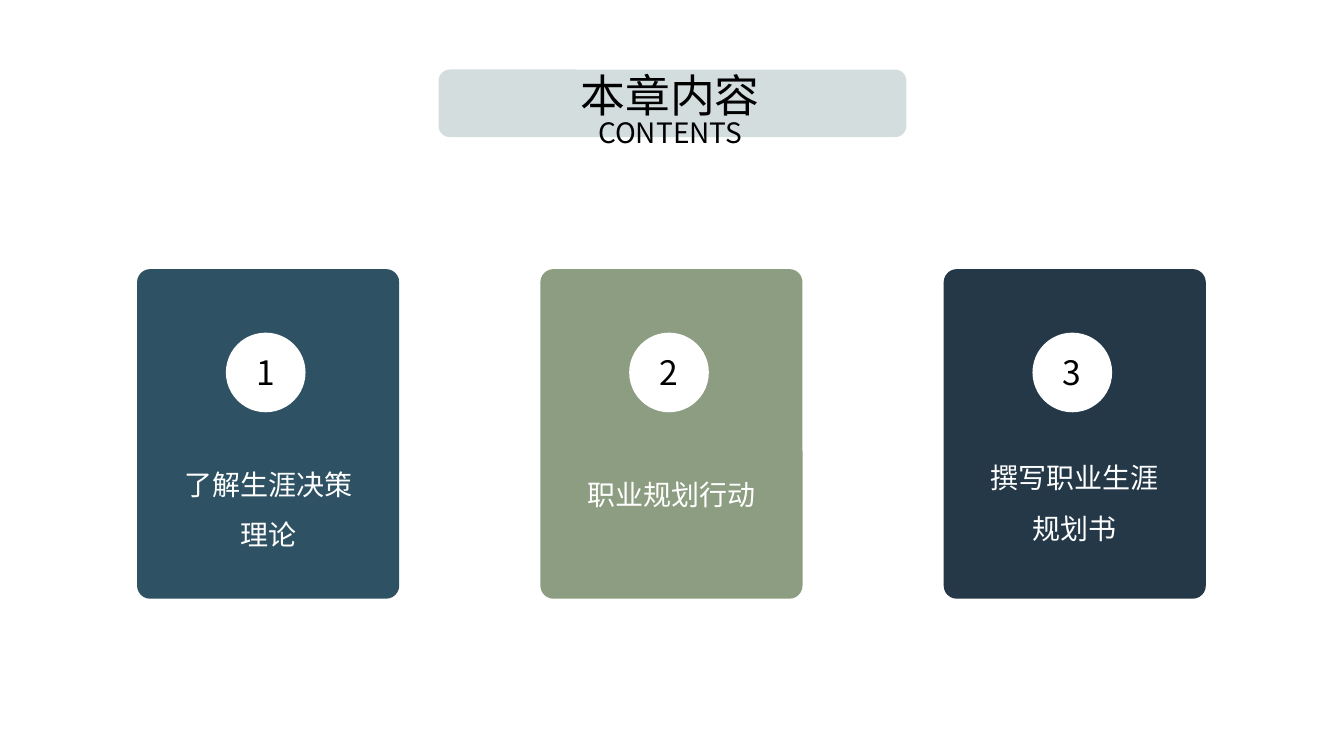
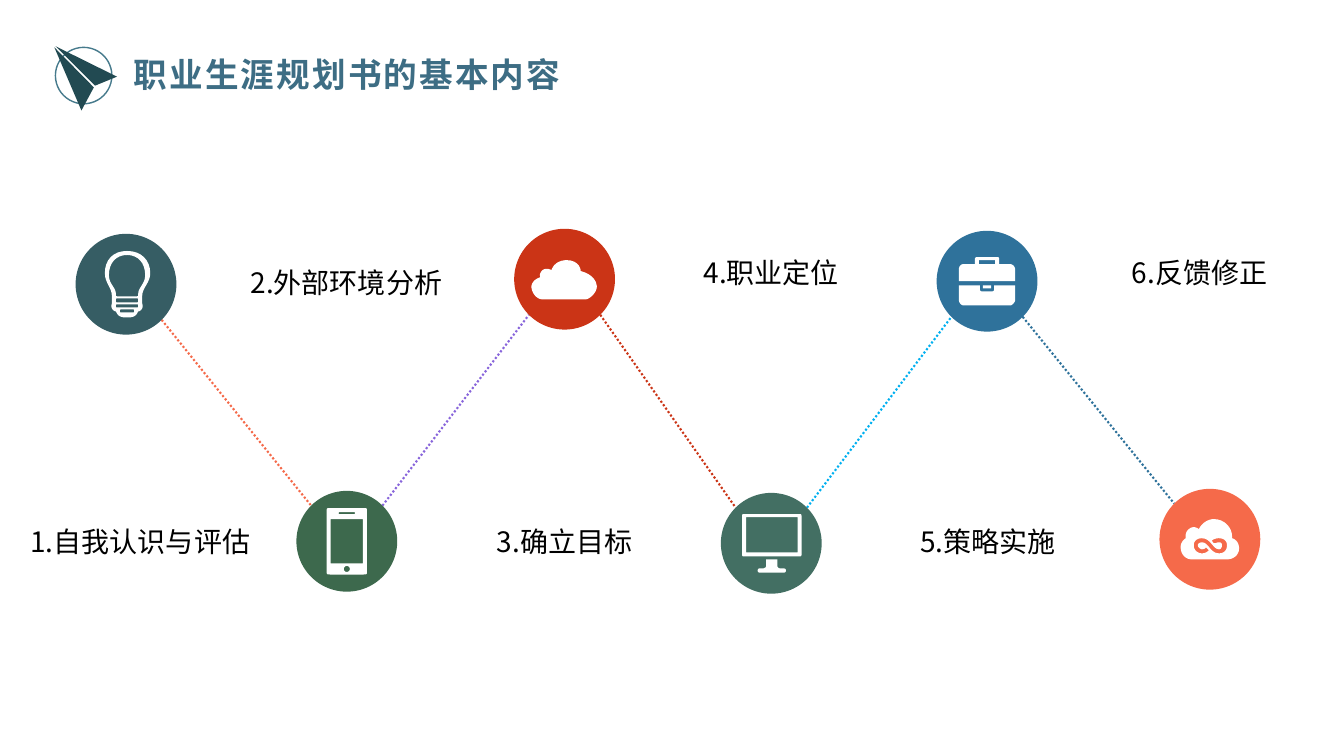
from collections import namedtuple
from math import cos, pi, sin, sqrt

from lxml.etree import SubElement
from pptx import Presentation
from pptx.dml.color import RGBColor
from pptx.enum.dml import MSO_LINE
from pptx.enum.shapes import MSO_CONNECTOR, MSO_SHAPE
from pptx.enum.text import MSO_ANCHOR, PP_ALIGN
from pptx.oxml.ns import qn
from pptx.util import Inches, Pt

FONT = "Noto Sans CJK SC"
WHITE = RGBColor(0xFF, 0xFF, 0xFF)
BLACK = RGBColor(0x00, 0x00, 0x00)
MIST = RGBColor(0xD4, 0xDD, 0xDE)
TEAL = RGBColor(0x2E, 0x52, 0x63)
SAGE = RGBColor(0x8C, 0x9D, 0x81)
NAVY = RGBColor(0x24, 0x38, 0x48)
TITLE_BLUE = RGBColor(0x3D, 0x6D, 0x84)
RING_BLUE = RGBColor(0x46, 0x7A, 0x8C)
PLANE_TEAL = RGBColor(0x22, 0x4A, 0x52)
PETROL = RGBColor(0x36, 0x5D, 0x64)
FOREST = RGBColor(0x3D, 0x69, 0x4D)
RED = RGBColor(0xCB, 0x34, 0x16)
PINE = RGBColor(0x43, 0x6F, 0x63)
BLUE = RGBColor(0x2F, 0x72, 0x9B)
CORAL = RGBColor(0xF5, 0x6A, 0x4A)
VIOLET = RGBColor(0x88, 0x65, 0xDB)
SKY = RGBColor(0x00, 0xB0, 0xF0)

Span = namedtuple("Span", "text size color bold spacing", defaults=(BLACK, False, 0))


class Box(namedtuple("Box", "left top width height")):
    def share(self, x, y, width, height):
        return Box(self.left + x * self.width, self.top + y * self.height,
                   width * self.width, height * self.height)

    def emu(self):
        return [Inches(value) for value in self]


def write(frame, paras, align=PP_ALIGN.CENTER, line_spacing=None):
    for index, spans in enumerate(paras):
        para = frame.paragraphs[0] if index == 0 else frame.add_paragraph()
        para.alignment = align
        if line_spacing:
            para.line_spacing = line_spacing
        for position, item in enumerate(spans):
            if position:
                para.add_line_break()
            span = para.add_run()
            span.text = item.text
            span.font.size = Pt(item.size)
            span.font.name = FONT
            span.font.bold = item.bold
            span.font.color.rgb = item.color
            props = span.font._element
            SubElement(props, qn("a:ea")).set("typeface", FONT)
            if item.spacing:
                props.set("spc", str(item.spacing))


def add_text(page, box, paras, align=PP_ALIGN.CENTER, line_spacing=None,
             inset=True, wrap=True):
    frame = page.shapes.add_textbox(*box.emu()).text_frame
    frame.word_wrap = wrap
    if not inset:
        frame.margin_left = frame.margin_right = 0
        frame.margin_top = frame.margin_bottom = 0
    write(frame, paras, align, line_spacing)


def paint(shape, fill=None, line=None):
    shape.shadow.inherit = False
    if fill is None:
        shape.fill.background()
    else:
        shape.fill.solid()
        shape.fill.fore_color.rgb = fill
    if line is None:
        shape.line.fill.background()
    else:
        shape.line.color.rgb = line
        shape.line.width = Pt(1)
    return shape


def add_shape(page, kind, box, fill=None, line=None):
    return paint(page.shapes.add_shape(kind, *box.emu()), fill, line)


def trace(steps, samples=8):
    points = [steps[0]]
    for step in steps[1:]:
        if len(step) == 2:
            points.append(step)
            continue
        start = points[-1]
        first, second, end = step[:2], step[2:4], step[4:]
        for count in range(1, samples + 1):
            t = count / samples
            u = 1 - t
            points.append(tuple(
                u ** 3 * a + 3 * u * u * t * b + 3 * u * t * t * c + t ** 3 * d
                for a, b, c, d in zip(start, first, second, end)))
    return points


def block(left, top, right, bottom, r=0):
    if not r:
        return [(left, top), (right, top), (right, bottom), (left, bottom)]
    return [(left + r, top), (right - r, top), (right, top, right, top, right, top + r),
            (right, bottom - r), (right, bottom, right, bottom, right - r, bottom),
            (left + r, bottom), (left, bottom, left, bottom, left, bottom - r),
            (left, top + r), (left, top, left, top, left + r, top)]


def dot(x, y, radius):
    return [(x + radius * cos(pi * n / 12), y + radius * sin(pi * n / 12)) for n in range(24)]


def add_outline(page, box, contours, fill):
    fine = 100
    left, top, width, height = box.emu()
    builder = None
    for steps in contours:
        points = [(x * fine, y * fine) for x, y in trace(steps)]
        if builder is None:
            builder = page.shapes.build_freeform(
                *points[0], scale=(width / 100 / fine, height / 100 / fine))
        else:
            builder.move_to(*points[0])
        builder.add_line_segments(points[1:], close=True)
    paint(builder.convert_to_shape(left, top), fill)


PLANE = [[(109, 52), (70, 68), (0, -2)], [(68, 71), (46, 112), (-2, 0)]]
BULB = [
    [(51, 17), (65, 17, 74, 26, 74, 39), (74, 49, 66, 53, 66, 62), (66, 69),
     (68, 74, 64, 77, 62, 77), (60, 82, 57, 83, 51, 83), (45, 83, 42, 82, 40, 77),
     (38, 77, 34, 74, 36, 69), (36, 62), (36, 53, 29, 49, 29, 39),
     (29, 26, 37, 17, 51, 17)],
    [(51, 21), (62, 21, 69, 29, 69, 41), (69, 50, 62, 53, 62, 60),
     (62, 62, 62, 62, 60, 62), (42, 62), (40, 62, 40, 62, 40, 60),
     (40, 53, 33, 50, 33, 41), (33, 29, 40, 21, 51, 21)],
    block(40, 64, 62, 68, 2), block(40, 70, 62, 73, 1.5), block(44, 75, 58, 78, 1.5)]
PHONE = [block(30, 17, 70, 83, 4), block(34, 28, 66, 72),
         block(42, 21, 58, 23, 1), dot(50, 77.5, 3)]
CLOUD = [[
    (26, 48), (26, 48, 18, 50, 17, 57), (17, 63, 22, 70, 28, 70), (71, 70),
    (74, 70, 82, 64, 82, 57), (81, 45, 66, 42, 66, 42), (66, 42, 66, 31, 51, 31),
    (39, 32, 37, 41, 37, 41), (37, 41, 32, 38, 28, 41), (24, 45, 26, 48, 26, 48)]]
MONITOR = [
    block(21, 21, 80, 63, 3), block(25, 24, 76, 59),
    [(45, 66), (56, 66), (56, 72), (56, 74, 57, 75, 60, 75), (63, 75),
     (65, 75, 65, 79, 63, 79), (38, 79), (36, 79, 36, 75, 38, 75), (41, 75),
     (43, 75, 45, 74, 45, 72)]]
BRIEFCASE = [
    [(78, 50), (22, 50), (22, 39), (22, 35, 24, 33, 27, 33), (38, 33), (38, 28),
     (38, 26, 40, 26, 41, 26), (59, 26), (61, 26, 62, 26, 62, 28), (62, 33), (73, 33),
     (75, 33, 78, 35, 78, 39)],
    [(78, 68), (78, 71, 75, 74, 73, 74), (27, 74), (24, 74, 22, 71, 22, 68), (22, 54),
     (43, 54), (43, 58), (43, 60, 44, 60, 45, 60), (55, 60), (56, 60, 57, 60, 57, 58),
     (57, 54), (78, 54)],
    block(42, 29, 58, 33), block(46, 54, 54, 57)]
LOOP_CLOUD = [
    [(79, 59), (79, 66, 73, 70, 67, 70), (32, 70), (26, 70, 21, 65, 21, 58),
     (21, 54, 23, 51, 26, 49), (26, 46), (26, 42, 30, 38, 34, 38),
     (36, 38, 38, 39, 39, 40), (42, 34, 48, 30, 54, 30), (64, 30, 72, 38, 72, 47),
     (72, 49), (76, 50, 79, 54, 79, 59)],
    [(42, 64), (45, 64, 47, 63, 49, 61), (48, 60, 47, 59, 46, 58),
     (46, 59, 44, 60, 42, 60), (41, 60, 38, 58, 38, 56), (38, 54, 41, 53, 42, 53),
     (49, 53, 50, 64, 59, 64), (64, 64, 67, 61, 67, 56), (67, 51, 63, 49, 59, 49),
     (56, 49, 54, 50, 52, 51), (53, 53, 53, 54, 55, 54), (56, 54, 57, 53, 59, 53),
     (61, 53, 62, 54, 62, 56), (62, 58, 61, 60, 59, 60), (53, 60, 51, 49, 42, 49),
     (38, 49, 34, 51, 34, 56), (34, 61, 38, 64, 42, 64)]]


def add_banner(page, box):
    add_shape(page, MSO_SHAPE.ROUNDED_RECTANGLE, box, MIST)
    add_text(page, box.share(0.13, 0.06, 0.73, 0.96),
             [[Span("本章内容", 32), Span("CONTENTS", 20)]], line_spacing=0.8, wrap=False)


def add_card(page, box, number, lines, fill, text_top):
    card = add_shape(page, MSO_SHAPE.ROUNDED_RECTANGLE, box, fill)
    card.adjustments[0] = 0.05
    add_text(page, box.share(0.13, text_top, 0.74, 0.31),
             [[Span(line, 20, WHITE)] for line in lines], line_spacing=1.5, inset=False)
    badge = add_shape(page, MSO_SHAPE.OVAL,
                      Box(box.left + 0.88, box.top + 0.63, 0.79, 0.79), WHITE)
    badge.text_frame.vertical_anchor = MSO_ANCHOR.MIDDLE
    write(badge.text_frame, [[Span(str(number), 24)]])


def build_contents(page):
    add_banner(page, Box(4.35, 0.69, 4.64, 0.67))
    cards = [(["了解生涯决策理论"], TEAL, 0.55),
             (["职业规划行动"], SAGE, 0.58),
             (["撰写职业生涯", "规划书"], NAVY, 0.53)]
    for index, (lines, fill, text_top) in enumerate(cards):
        box = Box(1.36 + 4 * index, 2.67, 2.6, 3.27)
        add_card(page, box, index + 1, lines, fill, text_top)


def add_heading(page, box, title):
    ring = Box(box.left, box.top, box.height, box.height)
    add_shape(page, MSO_SHAPE.OVAL, ring, line=RING_BLUE)
    add_outline(page, ring, PLANE, PLANE_TEAL)
    add_text(page, Box(box.left + 0.68, box.top + 0.02, box.width - 0.68, 0.5),
             [[Span(title, 24, TITLE_BLUE, True, 150)]], PP_ALIGN.LEFT)


def add_link(page, start, end, color):
    reach = start.width / 2 / sqrt(2)
    drop = reach if end.top > start.top else -reach
    x1, y1 = start.left + start.width / 2 + reach, start.top + start.height / 2 + drop
    x2, y2 = end.left + end.width / 2 - reach, end.top + end.height / 2 - drop
    link = page.shapes.add_connector(MSO_CONNECTOR.STRAIGHT,
                                     *[Inches(value) for value in (x1, y1, x2, y2)])
    link.line.color.rgb = color
    link.line.width = Pt(1.5)
    link.line.dash_style = MSO_LINE.ROUND_DOT
    SubElement(link._element.spPr, qn("a:effectLst"))


def build_steps(page):
    add_heading(page, Box(0.55, 0.47, 7.35, 0.56), "职业生涯规划书的基本内容")
    stops = [(0.75, 2.32, PETROL, BULB), (2.94, 4.87, FOREST, PHONE),
             (5.1, 2.27, RED, CLOUD), (7.15, 4.89, PINE, MONITOR),
             (9.29, 2.29, BLUE, BRIEFCASE), (11.5, 4.85, CORAL, LOOP_CLOUD)]
    discs = [Box(left, top, 1, 1) for left, top, _, _ in stops]
    for start, end, color in zip(discs, discs[1:], (CORAL, VIOLET, RED, SKY, BLUE)):
        add_link(page, start, end, color)
    for disc, (_, _, fill, icon) in zip(discs, stops):
        add_shape(page, MSO_SHAPE.OVAL, disc, fill)
        add_outline(page, disc, icon, WHITE)
    labels = [("1.自我认识与评估", 0, 5.15, 2.58, PP_ALIGN.RIGHT),
              ("2.外部环境分析", 2.14, 2.58, 2.59, PP_ALIGN.CENTER),
              ("3.确立目标", 4.53, 5.15, 2.14, PP_ALIGN.CENTER),
              ("4.职业定位", 6.58, 2.49, 2.14, PP_ALIGN.CENTER),
              ("5.策略实施", 8.73, 5.15, 2.14, PP_ALIGN.CENTER),
              ("6.反馈修正", 10.83, 2.49, 2.14, PP_ALIGN.CENTER)]
    for text, left, top, width, align in labels:
        add_text(page, Box(left, top, width, 0.92), [[Span(text, 20)]], align)


def main():
    deck = Presentation()
    deck.slide_width, deck.slide_height = Inches(13.33), Inches(7.5)
    for build in (build_contents, build_steps):
        build(deck.slides.add_slide(deck.slide_layouts[6]))
    deck.save("out.pptx")


if __name__ == "__main__":
    main()
